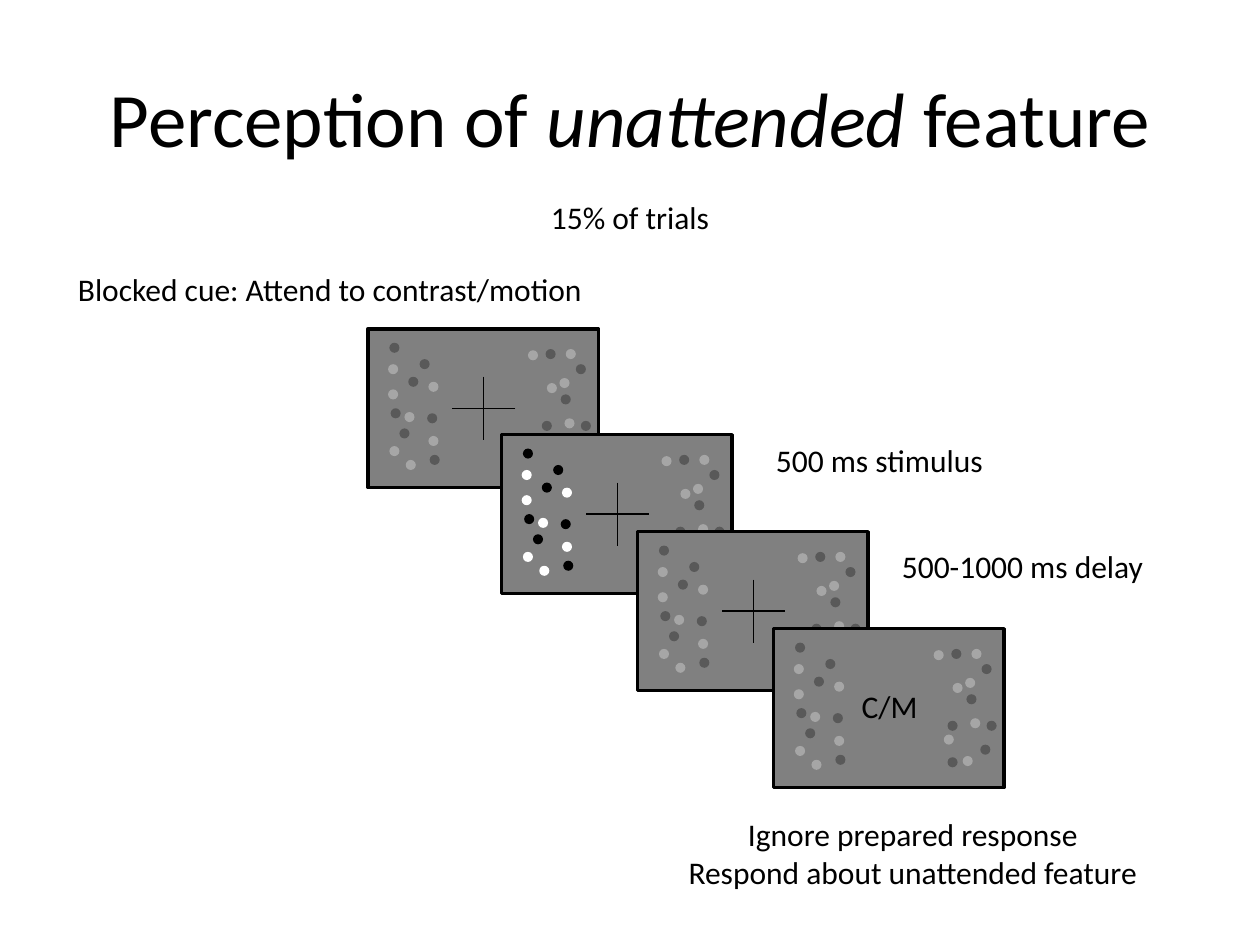
"""Build the slide on perception of the unattended feature."""
import pptx
import pptx.dml.color
import pptx.enum.shapes
import pptx.enum.text
import pptx.oxml
import pptx.util
from pptx.util import Inches

RGBColor = pptx.dml.color.RGBColor
MSO_SHAPE = pptx.enum.shapes.MSO_SHAPE
PP_ALIGN = pptx.enum.text.PP_ALIGN

BLACK = RGBColor(0x00, 0x00, 0x00)
WHITE = RGBColor(0xFF, 0xFF, 0xFF)
GRAY = RGBColor(0x80, 0x80, 0x80)
DARK = RGBColor(0x59, 0x59, 0x59)
LIGHT = RGBColor(0xA6, 0xA6, 0xA6)

FONT = "Calibri"
PANEL_W, PANEL_H = 1.83, 1.26
DOT = 0.08
CROSS_X, CROSS_Y, CROSS_ARM = 0.92, 0.63, 0.25

LEFT_DARK = [(0.17, 0.11), (0.32, 0.38), (0.41, 0.24), (0.18, 0.63),
             (0.47, 0.67), (0.25, 0.79), (0.49, 1.0)]
LEFT_LIGHT = [(0.16, 0.28), (0.16, 0.48), (0.48, 0.42), (0.29, 0.66),
              (0.48, 0.85), (0.17, 0.93), (0.3, 1.04)]
RIGHT_LIGHT = [(1.27, 0.17), (1.42, 0.43), (1.57, 0.16), (1.56, 0.71),
               (1.52, 0.39), (1.35, 0.84), (1.5, 1.01)]
RIGHT_DARK = [(1.41, 0.16), (1.53, 0.52), (1.65, 0.28), (1.38, 0.73),
              (1.69, 0.73), (1.38, 1.02), (1.64, 0.92)]


def add_shape(shapes, kind, x, y, w, h, fill):
    sp = shapes.add_shape(kind, Inches(x), Inches(y), Inches(w), Inches(h))
    sp.shadow.inherit = False
    sp.fill.solid()
    sp.fill.fore_color.rgb = fill
    sp.line.fill.background()
    return sp


def add_dots(shapes, x, y, offsets, color):
    for dx, dy in offsets:
        add_shape(shapes, MSO_SHAPE.OVAL, x + dx, y + dy, DOT, DOT, color)


def add_line(shapes, x1, y1, x2, y2):
    line = shapes.add_connector(pptx.enum.shapes.MSO_CONNECTOR.STRAIGHT,
                                Inches(x1), Inches(y1), Inches(x2), Inches(y2))
    line.line.color.rgb = BLACK
    line.line.width = pptx.util.Pt(0.75)
    line._element.spPr.append(pptx.oxml.parse_xml(
        '<a:effectLst xmlns:a="http://schemas.openxmlformats.org/drawingml/2006/main"/>'))


def add_cross(shapes, x, y):
    cx, cy = x + CROSS_X, y + CROSS_Y
    add_line(shapes, cx, cy - CROSS_ARM, cx, cy + CROSS_ARM)
    add_line(shapes, cx + CROSS_ARM, cy, cx - CROSS_ARM, cy)


def add_panel(slide, x, y, left_dark=DARK, left_light=LIGHT, lights=5, darks=5):
    shapes = slide.shapes.add_group_shape().shapes
    frame = add_shape(shapes, MSO_SHAPE.RECTANGLE, x, y, PANEL_W, PANEL_H, GRAY)
    frame.line.color.rgb = BLACK
    frame.line.width = pptx.util.Pt(2)
    add_dots(shapes, x, y, LEFT_DARK, left_dark)
    add_dots(shapes, x, y, RIGHT_LIGHT[:lights], LIGHT)
    add_dots(shapes, x, y, RIGHT_DARK[:darks], DARK)
    add_dots(shapes, x, y, LEFT_LIGHT, left_light)
    return shapes


def add_text(shapes, x, y, w, h, paragraphs, size=18, align=PP_ALIGN.LEFT, wrap=False):
    """Write paragraphs, each a list of (text, italic) runs."""
    tf = shapes.add_textbox(Inches(x), Inches(y), Inches(w), Inches(h)).text_frame
    tf.word_wrap = wrap
    for i, runs in enumerate(paragraphs):
        p = tf.add_paragraph() if i else tf.paragraphs[0]
        p.alignment = align
        p.font.name = FONT
        p.font.size = pptx.util.Pt(size)
        p.font.color.rgb = BLACK
        for text, italic in runs:
            r = p.add_run()
            r.text = text
            r.font.name = FONT
            r.font.size = pptx.util.Pt(size)
            r.font.color.rgb = BLACK
            if italic:
                r.font.italic = True
    return tf


def add_label(shapes, x, y, w, h, *lines, **options):
    tf = add_text(shapes, x, y, w, h, [[(line, False)] for line in lines], **options)
    tf.auto_size = pptx.enum.text.MSO_AUTO_SIZE.SHAPE_TO_FIT_TEXT


def main():
    prs = pptx.Presentation()
    prs.slide_width, prs.slide_height = Inches(10), Inches(7.5)
    s = prs.slides.add_slide(prs.slide_layouts[6])

    title = add_text(s.shapes, 0.5, 0.3, 9, 1.25,
                     [[("Perception of ", False), ("unattended", True), (" feature", False)]],
                     size=44, align=PP_ALIGN.CENTER, wrap=True)
    title.vertical_anchor = pptx.enum.text.MSO_ANCHOR.MIDDLE
    add_label(s.shapes, 2.29, 1.52, 5.42, 0.4, "15% of trials",
              align=PP_ALIGN.CENTER, wrap=True)

    add_cross(add_panel(s, 2.92, 2.61, lights=6), 2.92, 2.61)
    add_cross(add_panel(s, 3.98, 3.45, left_dark=BLACK, left_light=WHITE), 3.98, 3.45)
    add_cross(add_panel(s, 5.06, 4.22), 5.06, 4.22)
    response = add_panel(s, 6.14, 4.99, lights=7, darks=7)
    add_label(response, 6.74, 5.4, 0.65, 0.4, "C/M")

    add_label(s.shapes, 0.52, 2.09, 4.25, 0.4, "Blocked cue: Attend to contrast/motion")
    add_label(s.shapes, 6.06, 3.45, 1.86, 0.4, "500 ms stimulus")
    add_label(s.shapes, 7.06, 4.29, 2.14, 0.4, "500-1000 ms delay")
    add_label(s.shapes, 5.34, 6.42, 3.81, 0.71, "Ignore prepared response",
              "Respond about unattended feature", align=PP_ALIGN.CENTER)
    prs.save("out.pptx")


if __name__ == "__main__":
    main()
